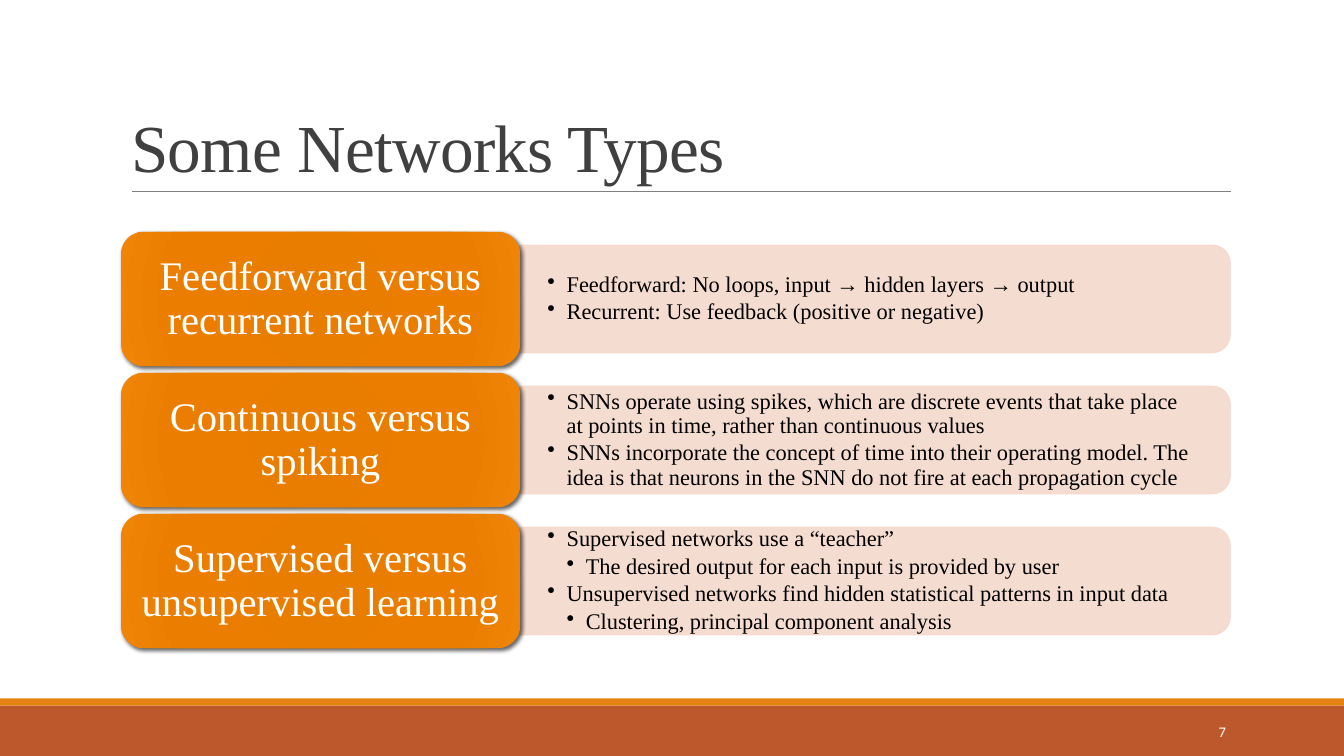
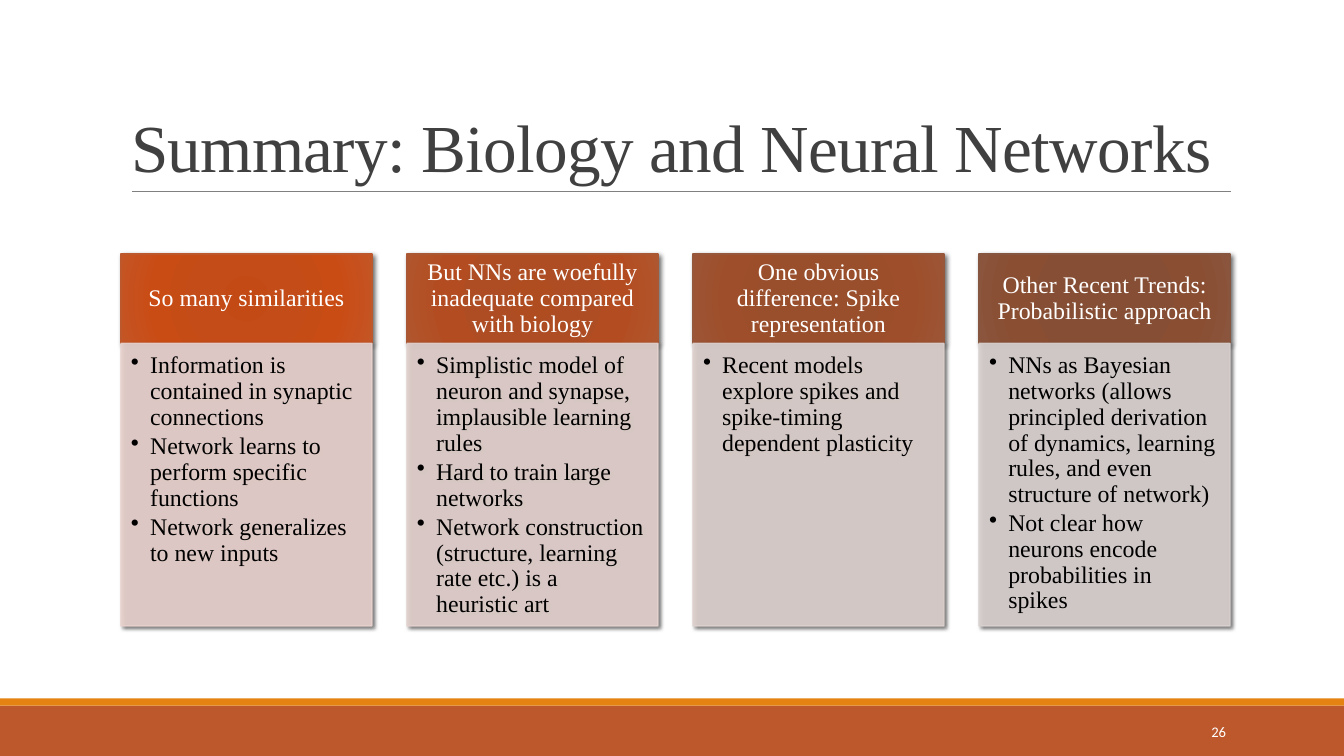
"""Builds two slides on neural networks: network types and a summary."""
from dataclasses import dataclass
from typing import NamedTuple, Optional

from lxml.etree import SubElement
from pptx import Presentation
from pptx.dml.color import RGBColor
from pptx.enum.shapes import MSO_CONNECTOR, MSO_SHAPE
from pptx.enum.text import MSO_ANCHOR, MSO_AUTO_SIZE, PP_ALIGN
from pptx.oxml import parse_xml
from pptx.oxml.ns import nsdecls, qn
from pptx.shapes.autoshape import Shape
from pptx.shapes.connector import Connector
from pptx.slide import Slide
from pptx.util import Inches, Pt


@dataclass(frozen=True)
class Theme:
    """Colours, fonts and type sizes of the whole presentation."""
    footer: str = "BD582C"
    stripe: str = "E48312"
    rule: str = "808080"
    title: str = "404040"
    light: str = "FFFFFF"
    dark: str = "000000"
    bar: str = "F5D9CC"
    pill: tuple[str, ...] = ("E57B00", "E87D00", "EB7E00", "EF8407")
    serif: str = "Times New Roman"
    sans: str = "Calibri"
    title_size: float = 48
    pill_size: float = 29
    bar_size: float = 16
    card_size: float = 17
    number_size: float = 10.5


THEME = Theme()
GRADIENT_STOPS = (0, 34, 70, 100)
BULLET_INDENT = 0.19


class Box(NamedTuple):
    """A rectangle in inches."""
    left: float
    top: float
    width: float
    height: float

    def column(self, index: int, count: int, gap: float) -> "Box":
        """Return one of equal columns; the gap is a share of a column."""
        width = self.width / (count + (count - 1) * gap)
        return Box(self.left + index * width * (1 + gap), self.top, width, self.height)

    def row(self, index: int, count: int, gap: float) -> "Box":
        """Return one of equal rows; the gap is a share of a row."""
        height = self.height / (count + (count - 1) * gap)
        return Box(self.left, self.top + index * height * (1 + gap), self.width, height)

    def share(self, left: float, top: float, right: float, bottom: float) -> "Box":
        """Return the area between the given shares of the sides."""
        return Box(self.left + left * self.width, self.top + top * self.height,
                   (right - left) * self.width, (bottom - top) * self.height)

    def turned(self) -> "Box":
        """Return the frame that covers this box after a quarter turn."""
        return Box(self.left + (self.width - self.height) / 2,
                   self.top + (self.height - self.width) / 2, self.height, self.width)

    def lengths(self) -> tuple[int, ...]:
        """Return the four measures as slide lengths."""
        return tuple(Inches(value) for value in self)


SLIDE = Box(0, 0, 13.33, 7.5)
FOOTER_BAND = Box(0, 7, SLIDE.width, 0.5)
STRIPE_BAND = Box(0, 6.93, SLIDE.width, 0.07)
TITLE_BOX = Box(1.2, 0.31, 11, 1.59)
NUMBER_BOX = Box(10.83, 7.06, 1.43, 0.4)
TYPES_GRID = Box(1.2, 2.3, 11, 4.13)
SUMMARY_GRID = Box(1.2, 2.52, 11, 3.69)


class Item(NamedTuple):
    """A line of text and its bullet level."""
    text: str
    level: int = 1


@dataclass(frozen=True)
class TextStyle:
    """The look of a block of text."""
    size: float
    color: str
    font: str = THEME.serif
    align: PP_ALIGN = PP_ALIGN.LEFT
    anchor: MSO_ANCHOR = MSO_ANCHOR.MIDDLE
    insets: tuple[float, float, float, float] = (0.1, 0.05, 0.1, 0.05)
    line_spacing: float = 0.9
    tracking: float = 0
    bulleted: bool = False


TITLE_STYLE = TextStyle(THEME.title_size, THEME.title, anchor=MSO_ANCHOR.BOTTOM,
                        line_spacing=0.85, tracking=-0.5)
NUMBER_STYLE = TextStyle(THEME.number_size, THEME.light, THEME.sans, PP_ALIGN.RIGHT,
                         line_spacing=1)
PILL_STYLE = TextStyle(THEME.pill_size, THEME.light, align=PP_ALIGN.CENTER,
                       insets=(0.12, 0.06, 0.12, 0.06))
BAR_STYLE = TextStyle(THEME.bar_size, THEME.dark, insets=(0.27, 0.14, 0.27, 0.14),
                      bulleted=True)
HEADER_STYLE = TextStyle(THEME.card_size, THEME.light, align=PP_ALIGN.CENTER,
                         insets=(0.13, 0.08, 0.13, 0.08))
CARD_STYLE = TextStyle(THEME.card_size, THEME.dark, anchor=MSO_ANCHOR.TOP,
                       insets=(0.1, 0.1, 0.13, 0.15), bulleted=True)


@dataclass(frozen=True)
class NetworkType:
    """A pair of network kinds and the notes on it."""
    name: str
    notes: tuple[Item, ...]


@dataclass(frozen=True)
class SummaryCard:
    """A summary column with its colours."""
    heading: str
    points: tuple[Item, ...]
    gradient: tuple[str, ...]
    border: str
    tint: str


NETWORK_TYPES = (
    NetworkType("Feedforward versus recurrent networks", (
        Item("Feedforward: No loops, input → hidden layers → output"),
        Item("Recurrent: Use feedback (positive or negative)"))),
    NetworkType("Continuous versus spiking", (
        Item("SNNs operate using spikes, which are discrete events that take place "
             "at points in time, rather than continuous values"),
        Item("SNNs incorporate the concept of time into their operating model. The "
             "idea is that neurons in the SNN do not fire at each propagation cycle"))),
    NetworkType("Supervised versus unsupervised learning", (
        Item("Supervised networks use a “teacher”"),
        Item("The desired output for each input is provided by user", 2),
        Item("Unsupervised networks find hidden statistical patterns in input data"),
        Item("Clustering, principal component analysis", 2))),
)

SUMMARY_CARDS = (
    SummaryCard("So many similarities", (
        Item("Information is contained in synaptic connections"),
        Item("Network learns to perform specific functions"),
        Item("Network generalizes to new inputs")),
        ("C44A15", "C34C18", "C94C15", "C45525"), "BD582C", "E8D1CD"),
    SummaryCard("But NNs are woefully inadequate compared with biology", (
        Item("Simplistic model of neuron and synapse, implausible learning rules"),
        Item("Hard to train large networks"),
        Item("Network construction (structure, learning rate etc.) is a heuristic art")),
        ("AF4C20", "AE4D23", "B34D21", "B0562E"), "AA5834", "E3D1CD"),
    SummaryCard("One obvious difference: Spike representation", (
        Item("Recent models explore spikes and spike-timing dependent plasticity"),),
        ("9A4C29", "994E2C", "9E4E2A", "9C5536"), "97573A", "DED1CE"),
    SummaryCard("Other Recent Trends: Probabilistic approach", (
        Item("NNs as Bayesian networks (allows principled derivation of dynamics, "
             "learning rules, and even structure of network)"),
        Item("Not clear how neurons encode probabilities in spikes")),
        ("874C32", "864E34", "8A4E33", "8A553C"), "865640", "D9D1CF"),
)


def write(shape: Shape, items: tuple[Item, ...], style: TextStyle) -> None:
    """Fill a shape with styled paragraphs."""
    frame = shape.text_frame
    frame.text = "\n".join(item.text for item in items)
    frame.word_wrap = True
    frame.auto_size = MSO_AUTO_SIZE.NONE
    frame.vertical_anchor = style.anchor
    (frame.margin_left, frame.margin_top,
     frame.margin_right, frame.margin_bottom) = map(Inches, style.insets)
    for paragraph, item in zip(frame.paragraphs, items):
        paragraph.alignment = style.align
        paragraph.line_spacing = style.line_spacing
        if style.bulleted:
            paragraph.space_after = Pt(0.15 * style.size)
            add_bullet(paragraph, item.level)
        for run in paragraph.runs:
            run.font.size = Pt(style.size)
            run.font.name = style.font
            run.font.color.rgb = RGBColor.from_string(style.color)
            if style.tracking:
                run._r.get_or_add_rPr().set("spc", str(int(style.tracking * 100)))


def add_bullet(paragraph, level: int) -> None:
    """Give a paragraph a hanging bullet at a level."""
    paragraph.level = level
    properties = paragraph._p.get_or_add_pPr()
    properties.set("marL", str(Inches(BULLET_INDENT * level)))
    properties.set("indent", str(-Inches(BULLET_INDENT)))
    SubElement(properties, qn("a:buChar"), char="•")


def add_panel(slide: Slide, kind: MSO_SHAPE, box: Box, fill: str,
              border: Optional[str] = None, opacity: int = 100) -> Shape:
    """Draw a flat preset shape, see-through where asked."""
    shape = slide.shapes.add_shape(kind, *box.lengths())
    shape.shadow.inherit = False
    shape.fill.solid()
    shape.fill.fore_color.rgb = RGBColor.from_string(fill)
    if border:
        shape.line.color.rgb = RGBColor.from_string(border)
        shape.line.width = Pt(1)
    else:
        shape.line.fill.background()
    if opacity < 100:
        for color in list(shape._element.spPr.iter(qn("a:srgbClr"))):
            SubElement(color, qn("a:alpha"), val=str(opacity * 1000))
    return shape


def add_glow(shape: Shape, colors: tuple[str, ...]) -> None:
    """Replace the flat fill by a round gradient."""
    stops = "".join(f'<a:gs pos="{stop * 1000}"><a:srgbClr val="{color}"/></a:gs>'
                    for stop, color in zip(GRADIENT_STOPS, colors))
    corner = " ".join(f'{side}="100000"' for side in "ltrb")
    gradient = parse_xml(
        f'<a:gradFill {nsdecls("a")} rotWithShape="1"><a:gsLst>{stops}</a:gsLst>'
        f'<a:path path="circle"><a:fillToRect {corner}/></a:path></a:gradFill>')
    properties = shape._element.spPr
    properties.replace(properties.find(qn("a:solidFill")), gradient)


def add_shadow(shape: Shape, blur: float = 3) -> None:
    """Cast a soft shadow to the lower right."""
    effects = shape._element.spPr.find(qn("a:effectLst"))
    shadow = SubElement(effects, qn("a:outerShdw"), blurRad=str(Pt(blur)),
                        dist=str(Pt(2)), dir="2700000", algn="ctr", rotWithShape="0")
    color = SubElement(shadow, qn("a:srgbClr"), val=THEME.dark)
    SubElement(color, qn("a:alpha"), val="60000")


def add_rule(slide: Slide) -> Connector:
    """Draw the thin line under the title."""
    left, right, top = Inches(1.31), Inches(12.21), Inches(1.9)
    rule = slide.shapes.add_connector(MSO_CONNECTOR.STRAIGHT, left, top, right, top)
    rule.line.color.rgb = RGBColor.from_string(THEME.rule)
    rule.line.width = Pt(0.5)
    SubElement(rule._element.spPr, qn("a:effectLst"))
    return rule


def add_base_slide(presentation: Presentation, title: str, number: int) -> Slide:
    """Add a slide with bands, rule, title and number."""
    slide = presentation.slides.add_slide(presentation.slide_layouts[5])
    add_panel(slide, MSO_SHAPE.RECTANGLE, FOOTER_BAND, THEME.footer)
    add_panel(slide, MSO_SHAPE.RECTANGLE, STRIPE_BAND, THEME.stripe)
    add_rule(slide)
    heading = slide.shapes.title
    heading.left, heading.top, heading.width, heading.height = TITLE_BOX.lengths()
    write(heading, (Item(title),), TITLE_STYLE)
    write(slide.shapes.add_textbox(*NUMBER_BOX.lengths()), (Item(str(number)),), NUMBER_STYLE)
    return slide


def add_network_type(slide: Slide, row: Box, network: NetworkType) -> None:
    """Draw a pill with its bar of notes."""
    bar_box = row.share(0.36, 0.1, 1, 0.9)
    bar = add_panel(slide, MSO_SHAPE.ROUND_2_SAME_RECTANGLE, bar_box.turned(),
                    THEME.bar, THEME.bar, 90)
    bar.rotation = 90
    write(slide.shapes.add_textbox(*bar_box.share(0, 0.05, 0.99, 0.95).lengths()),
          network.notes, BAR_STYLE)
    pill = add_panel(slide, MSO_SHAPE.ROUNDED_RECTANGLE, row.share(0, 0, 0.36, 1), THEME.pill[0])
    add_glow(pill, THEME.pill)
    add_shadow(pill)
    write(pill, (Item(network.name),), PILL_STYLE)


def add_summary_card(slide: Slide, column: Box, card: SummaryCard) -> None:
    """Draw a header with its list below."""
    header = add_panel(slide, MSO_SHAPE.RECTANGLE, column.share(0, 0, 1, 0.24),
                       card.border, card.border)
    add_glow(header, card.gradient)
    add_shadow(header, 3.5)
    write(header, (Item(card.heading),), HEADER_STYLE)
    body = add_panel(slide, MSO_SHAPE.RECTANGLE, column.share(0, 0.24, 1, 1),
                     card.tint, card.tint, 90)
    add_shadow(body)
    write(body, card.points, CARD_STYLE)


def main() -> None:
    """Build and save the presentation."""
    presentation = Presentation()
    presentation.slide_width, presentation.slide_height = SLIDE.lengths()[2:]
    types_slide = add_base_slide(presentation, "Some Networks Types", 7)
    for index, network in enumerate(NETWORK_TYPES):
        add_network_type(types_slide, TYPES_GRID.row(index, len(NETWORK_TYPES), 0.05), network)
    summary_slide = add_base_slide(presentation, "Summary: Biology and Neural Networks", 26)
    for index, card in enumerate(SUMMARY_CARDS):
        add_summary_card(summary_slide,
                         SUMMARY_GRID.column(index, len(SUMMARY_CARDS), 0.14), card)
    presentation.save("out.pptx")


if __name__ == "__main__":
    main()
